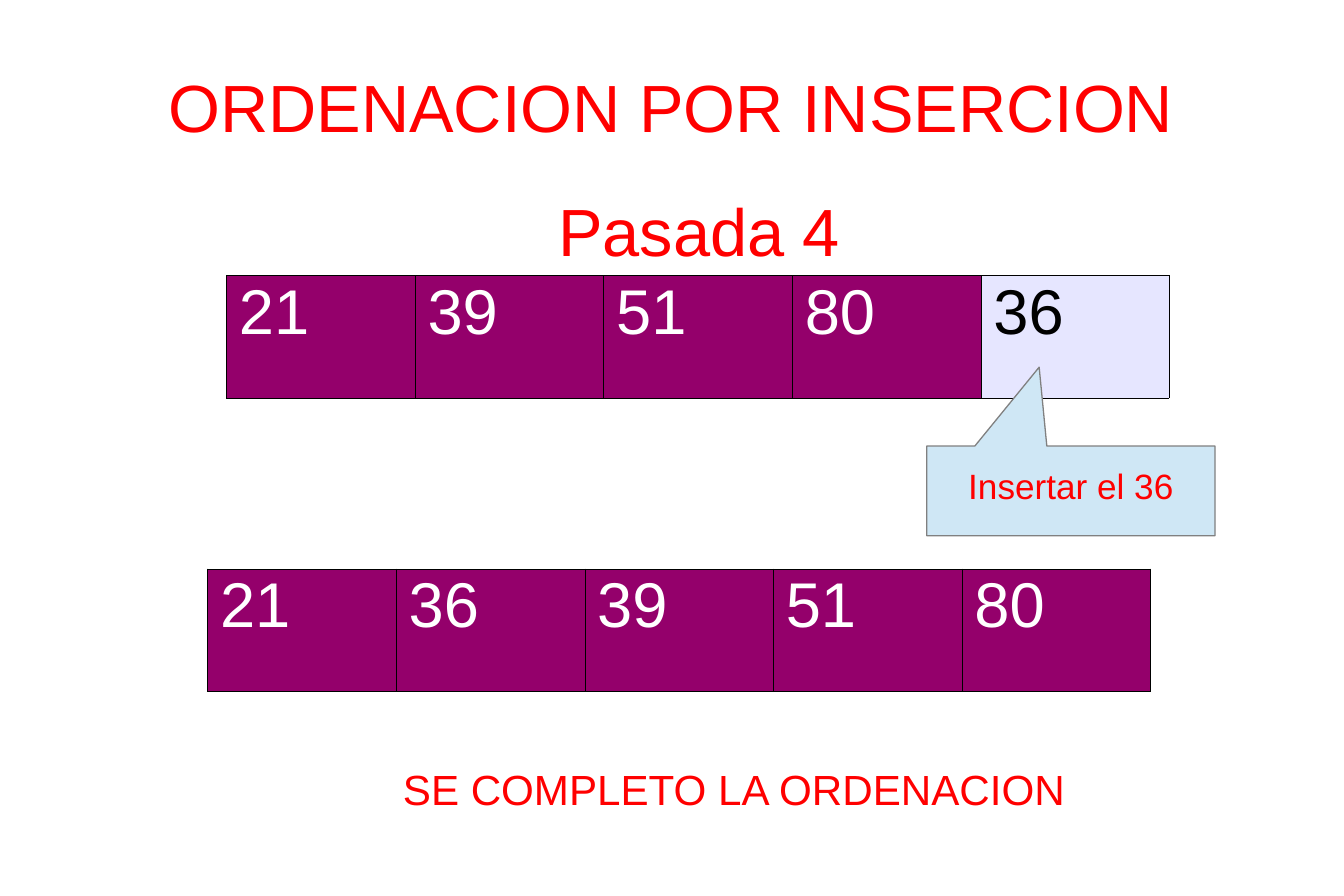
from dataclasses import dataclass

from lxml.etree import SubElement
from pptx import Presentation
from pptx.dml.color import RGBColor
from pptx.enum.shapes import MSO_SHAPE
from pptx.enum.text import MSO_ANCHOR, PP_ALIGN
from pptx.oxml.ns import qn
from pptx.util import Inches, Pt


@dataclass(frozen=True)
class Theme:
    font: str = "Arial"
    heading_size: float = 38
    value_size: float = 36
    closing_size: float = 24
    callout_size: float = 20
    line_spacing: float = 0.93
    border_width: float = 0.06
    callout_line_width: float = 0.75
    red: str = "FF0000"
    white: str = "FFFFFF"
    black: str = "000000"
    purple: str = "94006B"
    lavender: str = "E6E6FF"
    pale_blue: str = "CFE7F5"
    gray: str = "808080"


class SortingSlide:
    """Draws the parts of a sorting pass in one style."""

    def __init__(self, slide, theme):
        self.slide = slide
        self.theme = theme

    def style(self, paragraph, size, color):
        paragraph.line_spacing = self.theme.line_spacing
        paragraph.font.name = self.theme.font
        paragraph.font.size = Pt(size)
        paragraph.font.color.rgb = RGBColor.from_string(color)

    def center_wording(self, frame, wording, size):
        frame.word_wrap = True
        frame.vertical_anchor = MSO_ANCHOR.MIDDLE
        frame.margin_left = frame.margin_right = 0
        frame.margin_top = frame.margin_bottom = 0
        paragraph = frame.paragraphs[0]
        paragraph.text = wording
        paragraph.alignment = PP_ALIGN.CENTER
        self.style(paragraph, size, self.theme.red)

    def text(self, wording, left, top, width, height, size):
        box = self.slide.shapes.add_textbox(
            Inches(left), Inches(top), Inches(width), Inches(height))
        self.center_wording(box.text_frame, wording, size)

    def callout(self, wording, left, top, width, height, tip):
        balloon = self.slide.shapes.add_shape(
            MSO_SHAPE.RECTANGULAR_CALLOUT,
            Inches(left), Inches(top), Inches(width), Inches(height))
        balloon.shadow.inherit = False
        balloon.adjustments[0], balloon.adjustments[1] = tip
        balloon.fill.solid()
        balloon.fill.fore_color.rgb = RGBColor.from_string(self.theme.pale_blue)
        balloon.line.color.rgb = RGBColor.from_string(self.theme.gray)
        balloon.line.width = Pt(self.theme.callout_line_width)
        self.center_wording(balloon.text_frame, wording,
                            self.theme.callout_size)
        balloon.text_frame.margin_bottom = Inches(0.05)

    def borders(self, cell):
        properties = cell._tc.get_or_add_tcPr()
        # Borders must precede the fill, so they are added first
        for side in ("a:lnL", "a:lnR", "a:lnT", "a:lnB"):
            line = SubElement(properties, qn(side),
                              w=str(Pt(self.theme.border_width)))
            fill = SubElement(line, qn("a:solidFill"))
            SubElement(fill, qn("a:srgbClr"), val=self.theme.black)

    def array(self, values, left, top, width, height, pending=None):
        table = self.slide.shapes.add_table(
            1, len(values), Inches(left), Inches(top),
            Inches(width), Inches(height)).table
        table.first_row = table.horz_banding = False
        for index, value in enumerate(values):
            is_pending = index == pending
            cell = table.cell(0, index)
            cell.text = str(value)
            self.borders(cell)
            cell.fill.solid()
            cell.fill.fore_color.rgb = RGBColor.from_string(
                self.theme.lavender if is_pending else self.theme.purple)
            self.style(cell.text_frame.paragraphs[0], self.theme.value_size,
                       self.theme.black if is_pending else self.theme.white)


def main():
    presentation = Presentation()
    presentation.slide_width = Inches(10.63)
    presentation.slide_height = Inches(7.09)
    theme = Theme()
    sorting = SortingSlide(
        presentation.slides.add_slide(presentation.slide_layouts[6]), theme)

    # Headings
    sorting.text("ORDENACION POR INSERCION", 0.53, 0.28, 9.56, 1.18,
                 theme.heading_size)
    sorting.text("Pasada 4", 0.75, 1.26, 9.56, 1.18, theme.heading_size)

    # Array before the pass, with the value still to be inserted
    before = [21, 39, 51, 80, 36]
    sorting.array(before, 1.79, 2.18, 7.46, 0.97, pending=len(before) - 1)
    sorting.callout("Insertar el 36", 7.33, 3.53, 2.28, 0.71,
                    tip=(-0.11, -1.38))

    # Sorted array and closing line
    sorting.array(sorted(before), 1.64, 4.5, 7.46, 0.97)
    sorting.text("SE COMPLETO LA ORDENACION", 3.11, 5.83, 5.39, 0.87,
                 theme.closing_size)

    presentation.save("out.pptx")


if __name__ == "__main__":
    main()
